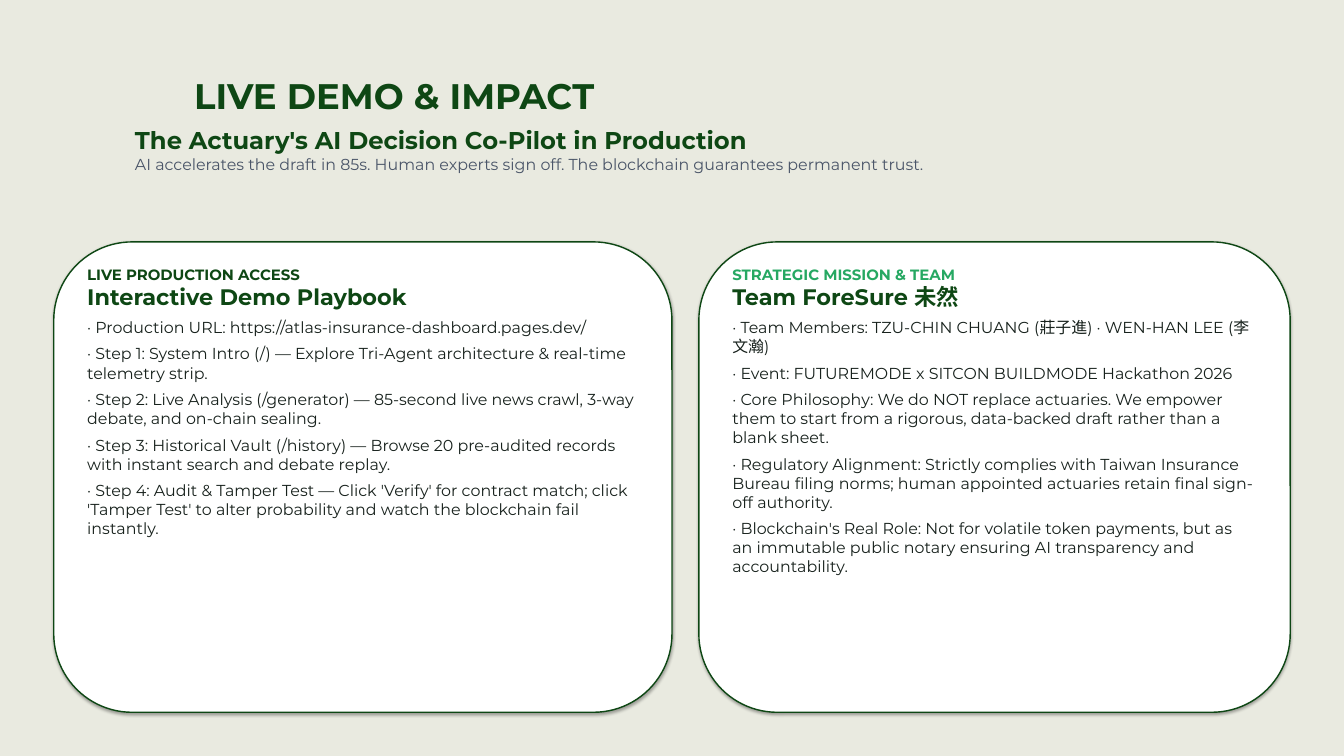
"""Build the live demo and impact slide: a heading above two text cards."""
from dataclasses import dataclass

from lxml.etree import SubElement
from pptx import Presentation
from pptx.dml.color import RGBColor
from pptx.enum.shapes import MSO_SHAPE as Shape
from pptx.enum.text import MSO_AUTO_SIZE as AutoSize
from pptx.oxml.ns import qn
from pptx.util import Inches, Pt


@dataclass(frozen=True)
class Theme:
    font: str = "Montserrat"
    background: str = "E9EAE0"
    card: str = "FFFFFF"
    green: str = "0E4714"
    accent: str = "26A862"
    muted: str = "4A5568"
    ink: str = "17211C"
    shadow: str = "000000"
    title_size: int = 38
    subtitle_size: int = 26
    heading_size: int = 24
    body_size: int = 17
    label_size: int = 16
    item_gap: int = 8
    outline: float = 1.5


THEME = Theme()

TITLE = "LIVE DEMO & IMPACT"
SUBTITLE = "The Actuary's AI Decision Co-Pilot in Production"
TAGLINE = (
    "AI accelerates the draft in 85s. Human experts sign off. "
    "The blockchain guarantees permanent trust."
)

CARDS = [
    {
        "width": 9.2,
        "label": "LIVE PRODUCTION ACCESS",
        "label_color": THEME.green,
        "heading": "Interactive Demo Playbook",
        "items": [
            "· Production URL: https://atlas-insurance-dashboard.pages.dev/",
            "· Step 1: System Intro (/) — Explore Tri-Agent architecture & "
            "real-time telemetry strip.",
            "· Step 2: Live Analysis (/generator) — 85-second live news crawl, "
            "3-way debate, and on-chain sealing.",
            "· Step 3: Historical Vault (/history) — Browse 20 pre-audited records "
            "with instant search and debate replay.",
            "· Step 4: Audit & Tamper Test — Click 'Verify' for contract match; "
            "click 'Tamper Test' to alter probability and watch the blockchain "
            "fail instantly.",
        ],
    },
    {
        "width": 8.8,
        "label": "STRATEGIC MISSION & TEAM",
        "label_color": THEME.accent,
        "heading": "Team ForeSure 未然",
        "items": [
            "· Team Members: TZU-CHIN CHUANG (莊子進) · WEN-HAN LEE (李文瀚)",
            "· Event: FUTUREMODE x SITCON BUILDMODE Hackathon 2026",
            "· Core Philosophy: We do NOT replace actuaries. We empower them to "
            "start from a rigorous, data-backed draft rather than a blank sheet.",
            "· Regulatory Alignment: Strictly complies with Taiwan Insurance Bureau "
            "filing norms; human appointed actuaries retain final sign-off authority.",
            "· Blockchain's Real Role: Not for volatile token payments, but as an "
            "immutable public notary ensuring AI transparency and accountability.",
        ],
    },
]

CARD_LEFT, CARD_TOP, CARD_HEIGHT, CARD_GAP = 0.8, 3.6, 7, 0.4
PAD_X, PAD_Y = 0.4, 0.3


def color(value):
    """Return the colour for a hex value."""
    return RGBColor.from_string(value)


def add_text(slide, box, lines, wrap=True):
    """Add a text box of (text, size, colour, bold, space before) lines."""
    text_frame = slide.shapes.add_textbox(*map(Inches, box)).text_frame
    text_frame.text = "\n".join(line[0] for line in lines)
    text_frame.word_wrap = wrap
    text_frame.auto_size = AutoSize.SHAPE_TO_FIT_TEXT
    for paragraph, (_, size, ink, bold, gap) in zip(text_frame.paragraphs, lines):
        if gap:
            paragraph.space_before = Pt(gap)
        for run in paragraph.runs:
            run.font.name = THEME.font
            run.font.size = Pt(size)
            run.font.bold = bold
            run.font.color.rgb = color(ink)


def add_shadow(shape):
    """Give a shape a soft shadow that falls straight down."""
    shape.shadow.inherit = False
    effects = shape._element.spPr.find(qn("a:effectLst"))
    shadow = SubElement(
        effects, qn("a:outerShdw"), blurRad=str(Pt(3.1)), dist=str(Pt(1.8)),
        dir="5400000", rotWithShape="0",
    )
    shade = SubElement(shadow, qn("a:srgbClr"), val=THEME.shadow)
    SubElement(shade, qn("a:alpha"), val="35000")


def add_card(slide, left, card):
    """Add a rounded card with its label, heading and items."""
    width = card["width"]
    box = (left, CARD_TOP, width, CARD_HEIGHT)
    shape = slide.shapes.add_shape(Shape.ROUNDED_RECTANGLE, *map(Inches, box))
    shape.fill.solid()
    shape.fill.fore_color.rgb = color(THEME.card)
    shape.line.color.rgb = color(THEME.green)
    shape.line.width = Pt(THEME.outline)
    add_shadow(shape)

    lines = [
        (card["label"], THEME.label_size, card["label_color"], True, 0),
        (card["heading"], THEME.heading_size, THEME.green, True, 0),
    ]
    lines += [
        (item, THEME.body_size, THEME.ink, False, THEME.item_gap)
        for item in card["items"]
    ]
    inner = (left + PAD_X, CARD_TOP + PAD_Y,
             width - 2 * PAD_X, CARD_HEIGHT - 2 * PAD_Y)
    add_text(slide, inner, lines)


def main():
    """Build and save the presentation."""
    presentation = Presentation()
    presentation.slide_width = Inches(20)
    presentation.slide_height = Inches(11.25)
    slide = presentation.slides.add_slide(presentation.slide_layouts[6])
    slide.background.fill.solid()
    slide.background.fill.fore_color.rgb = color(THEME.background)

    title = [(TITLE, THEME.title_size, THEME.green, True, 0)]
    add_text(slide, (2.79, 1.05, 10, 0.75), title, wrap=False)
    add_text(slide, (1.91, 1.82, 16.5, 1.3), [
        (SUBTITLE, THEME.subtitle_size, THEME.green, True, 0),
        (TAGLINE, THEME.body_size, THEME.muted, False, 0),
    ])

    left = CARD_LEFT
    for card in CARDS:
        add_card(slide, left, card)
        left += card["width"] + CARD_GAP

    presentation.save("out.pptx")


if __name__ == "__main__":
    main()
